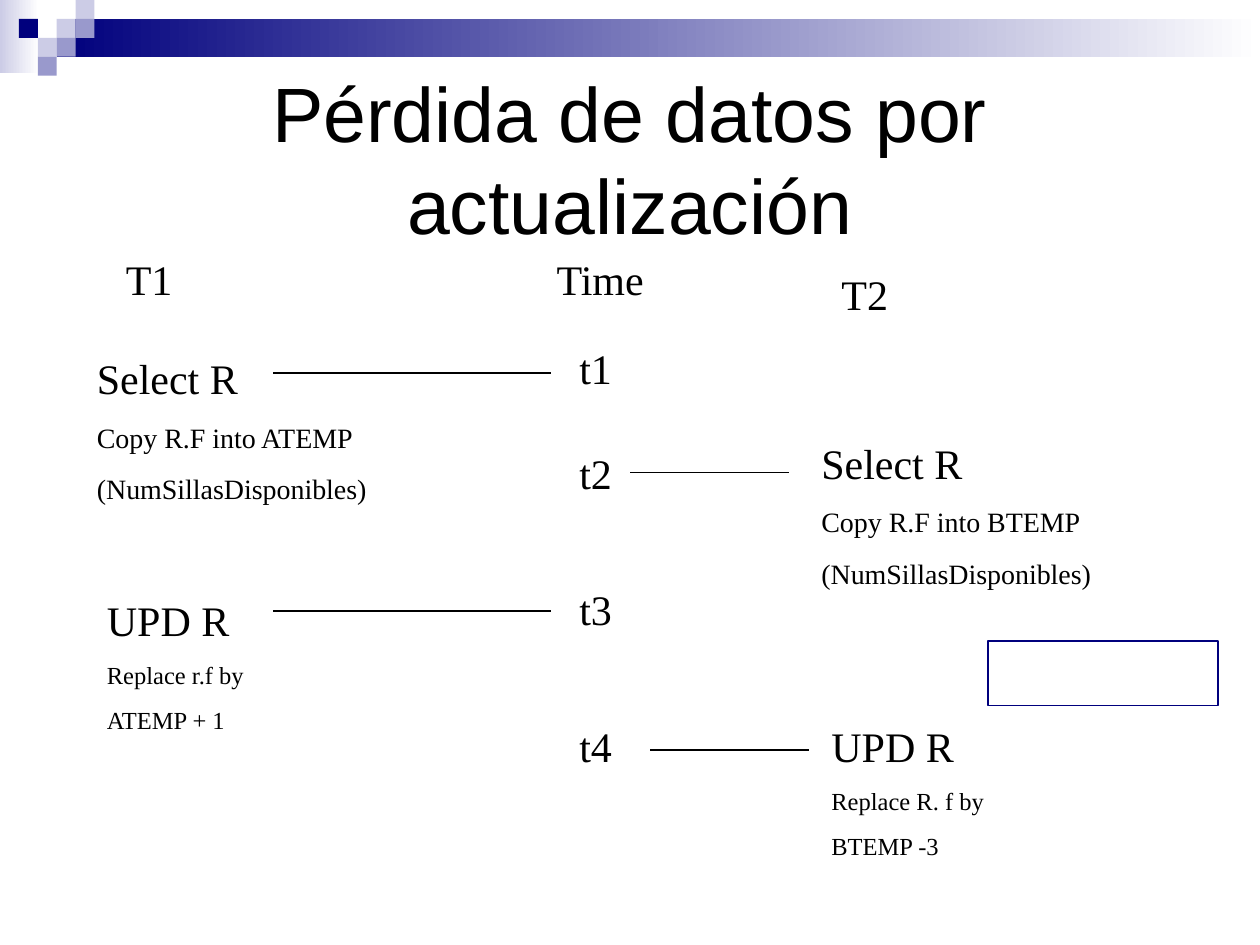
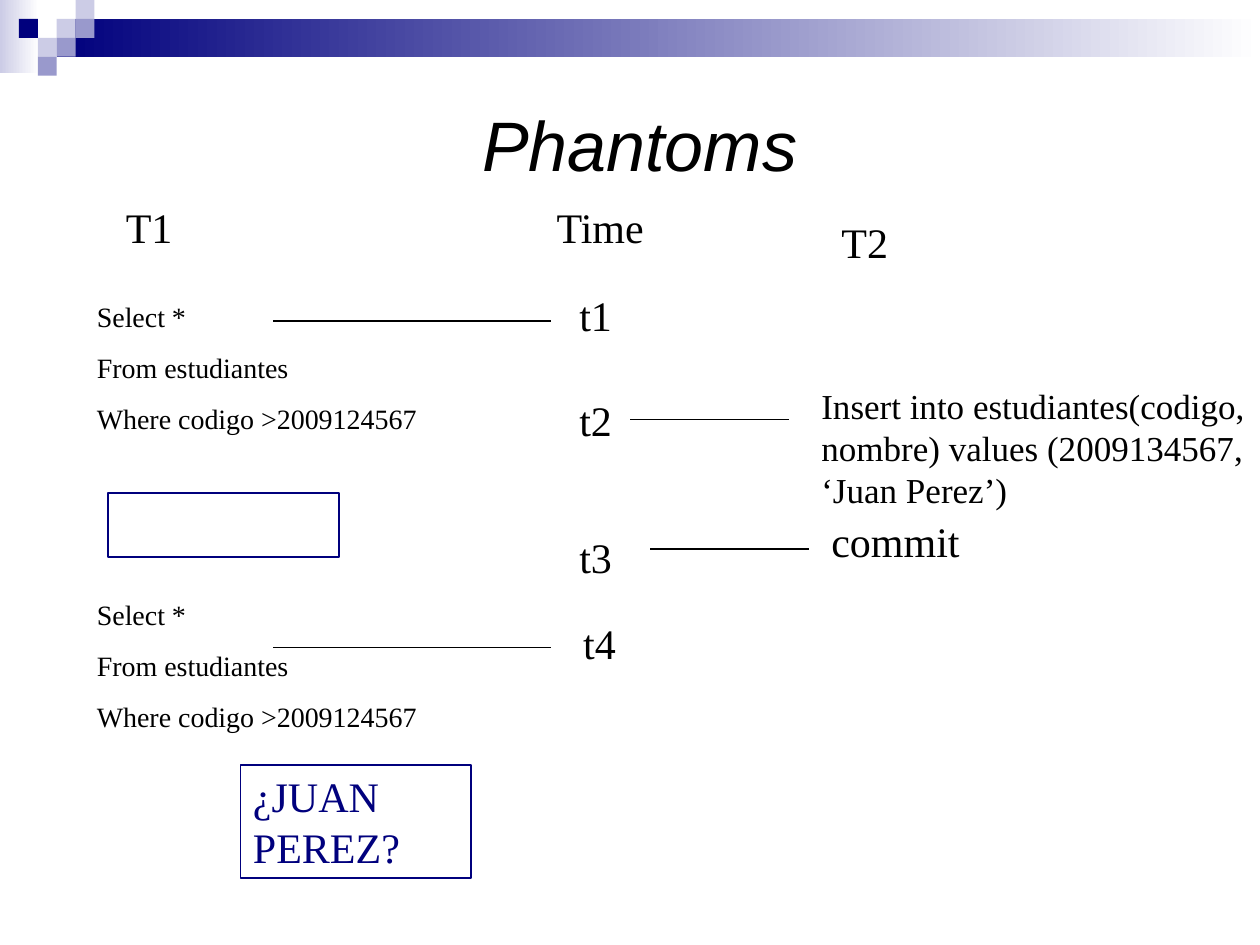
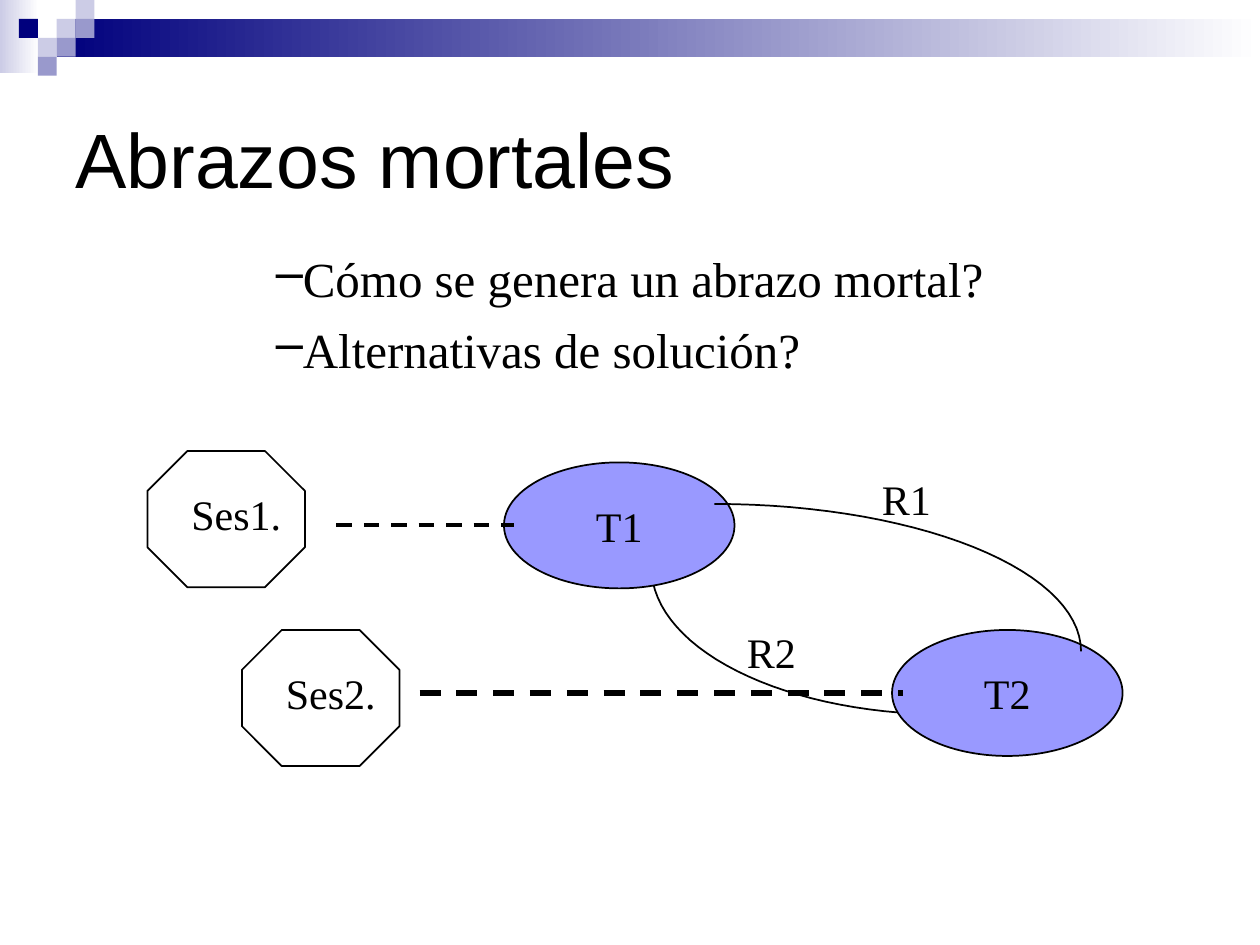
from dataclasses import dataclass
from math import cos, radians, sin

from lxml import etree
from pptx import Presentation
from pptx.dml.color import RGBColor as Color
from pptx.enum.dml import MSO_LINE_DASH_STYLE as Dash
from pptx.enum.shapes import MSO_CONNECTOR as Connector, MSO_SHAPE as Shape
from pptx.enum.text import MSO_ANCHOR as Anchor, PP_ALIGN as Align
from pptx.oxml.ns import qn
from pptx.util import Inches, Pt


@dataclass(frozen=True)
class Theme:
    ink: Color = Color(0, 0, 0)
    paper: Color = Color(0xFF, 0xFF, 0xFF)
    navy: Color = Color(0x00, 0x00, 0x7D)
    mid: Color = Color(0x99, 0x99, 0xCC)
    pale: Color = Color(0xCC, 0xCC, 0xE6)
    lilac: Color = Color(0x99, 0x99, 0xFF)
    title_font: str = "Arial"
    body_font: str = "Times New Roman"
    title_size: int = 44
    short_title_size: int = 40
    bullet_size: int = 28
    body_size: int = 24
    statement_size: int = 20
    detail_size: int = 16
    small_size: int = 14


@dataclass(frozen=True)
class Step:
    """One moment of a timeline; tops are measured from the timeline's top."""
    moment: str
    moment_top: float
    link_left: float
    link_top: float
    link_width: float
    note_box: tuple
    lines: list
    moment_left: float = 4.5


THEME = Theme()
TILE = 0.15
LABEL_HEIGHT = 0.5
LEFT_LINK, RIGHT_LINK = 2.2, 1.26
FRAME_SIZE = (1.83, 0.51)


def write(shape, lines, wrap=True, align=Align.LEFT, anchor=Anchor.TOP,
          gap=0.625, **format_values):
    """Write (text, size) lines; the space before a line is gap times its size."""
    values = {"name": THEME.body_font, **format_values}
    color = values.pop("color", THEME.ink)
    frame = shape.text_frame
    frame.word_wrap = wrap
    frame.vertical_anchor = anchor
    for index, (text, size) in enumerate(lines):
        para = frame.paragraphs[0] if index == 0 else frame.add_paragraph()
        para.alignment = align
        para.space_before = Pt(round(size * gap, 1) if index else 0)
        span = para.add_run()
        span.text = text
        for name, value in {**values, "size": Pt(size)}.items():
            setattr(span.font, name, value)
        span.font.color.rgb = color


def add_text(page, box, lines, **options):
    shape = page.shapes.add_textbox(*map(Inches, box))
    write(shape, lines, **options)
    return shape


def add_label(page, left, top, text, width):
    add_text(page, (left, top, width, LABEL_HEIGHT),
             [(text, THEME.body_size)], wrap=False)


def add_figure(page, kind, box, fill=None, line=None):
    figure = page.shapes.add_shape(kind, *map(Inches, box))
    figure.shadow.inherit = False
    paint(figure, fill, line)
    return figure


def paint(figure, fill=None, line=None):
    if fill is None:
        figure.fill.background()
    else:
        figure.fill.solid()
        figure.fill.fore_color.rgb = fill
    if line is None:
        figure.line.fill.background()
    else:
        figure.line.color.rgb = line
        figure.line.width = Pt(1)


def add_line(page, left, top, width, weight=1, dash=None):
    line = page.shapes.add_connector(
        Connector.STRAIGHT, *map(Inches, (left, top, left + width, top)))
    line.line.color.rgb = THEME.ink
    line.line.width = Pt(weight)
    if dash is not None:
        line.line.dash_style = dash
    etree.SubElement(line._element.spPr, qn("a:effectLst"))


def add_fade(page, box, color):
    fade = add_figure(page, Shape.RECTANGLE, box)
    fade.fill.gradient()
    fade.fill.gradient_angle = 0
    for stop, stop_color in zip(fade.fill.gradient_stops, (color, THEME.paper)):
        stop.color.rgb = stop_color


def add_banner(page):
    add_fade(page, (0, 0, 0.31, 0.58), THEME.pale)
    add_fade(page, (3 * TILE, TILE, 10 - 3 * TILE, 2 * TILE), THEME.navy)
    tiles = {THEME.pale: [(3, 1), (4, 0), (2, 2)],
             THEME.mid: [(4, 1), (3, 2), (2, 3)],
             THEME.navy: [(1, 1)]}
    for color, cells in tiles.items():
        for column, row in cells:
            add_figure(page, Shape.RECTANGLE,
                       (column * TILE, row * TILE, TILE, TILE), color)


def add_page(deck, title, box=(0.5, 0.5, 9, 1.5), size=THEME.title_size,
             align=Align.CENTER, **format_values):
    page = deck.slides.add_slide(deck.slide_layouts[6])
    add_banner(page)
    add_text(page, box, [(title, size)], align=align, anchor=Anchor.MIDDLE,
             name=THEME.title_font, **format_values)
    return page


def add_timeline(page, top, steps):
    for text, left, drop, width in (("T1", 0.9, 0, 0.57), ("Time", 4.32, 0, 0.9),
                                    ("T2", 6.58, 0.12, 0.6)):
        add_label(page, left, top + drop, text, width)
    for step in steps:
        add_label(page, step.moment_left, top + step.moment_top, step.moment, 0.46)
        add_line(page, step.link_left, top + step.link_top, step.link_width)
        left, drop, width, height = step.note_box
        add_text(page, (left, top + drop, width, height), step.lines)


def add_frame(page, left, top, size=FRAME_SIZE):
    return add_figure(page, Shape.RECTANGLE, (left, top, *size), line=THEME.navy)


def select_lines(target):
    return [("Select R", THEME.body_size),
            (f"Copy R.F into {target}", THEME.detail_size),
            ("(NumSillasDisponibles)", THEME.detail_size)]


def update_lines(field, value):
    return [("UPD R", THEME.body_size),
            (f"Replace {field} by", THEME.small_size),
            (value, THEME.small_size)]


def build_lost_update(deck):
    page = add_page(deck, "Pérdida de datos por actualización")
    add_timeline(page, 1.96, [
        Step("t1", 0.71, 2.17, 1.0, LEFT_LINK, (0.67, 0.79, 2.42, 1.31),
             select_lines("ATEMP")),
        Step("t2", 1.54, 5, 1.79, RIGHT_LINK, (6.42, 1.46, 2.42, 1.31),
             select_lines("BTEMP")),
        Step("t3", 2.62, 2.17, 2.89, LEFT_LINK, (0.75, 2.71, 2.42, 1.21),
             update_lines("r.f", "ATEMP + 1")),
        Step("t4", 3.71, 5.16, 3.99, RIGHT_LINK, (6.5, 3.71, 1.67, 1.21),
             update_lines("R. f", "BTEMP -3")),
    ])
    add_frame(page, 7.84, 5.09)


def build_phantoms(deck):
    page = add_page(deck, "Phantoms", (-0.2, 0.5, 10.55, 1.28),
                    THEME.short_title_size, italic=True)
    query = [(text, THEME.detail_size) for text in
             ("Select *", "From estudiantes", "Where codigo >2009124567")]
    insert = ("Insert into estudiantes(codigo, nombre) values "
              "(2009134567, ‘Juan Perez’)")
    add_timeline(page, 1.55, [
        Step("t1", 0.7, 2.17, 1.0, LEFT_LINK, (0.67, 0.78, 2.85, 1.18), query),
        Step("t2", 1.53, 5, 1.78, RIGHT_LINK, (6.42, 1.45, 3.58, 1.1),
             [(insert, THEME.statement_size)]),
        Step("t3", 2.62, 5.16, 2.81, RIGHT_LINK, (6.5, 2.49, 1.67, 0.5),
             [("commit", THEME.body_size)]),
        Step("t4", 3.3, 2.17, 3.59, LEFT_LINK, (0.67, 3.14, 2.85, 1.18), query,
             moment_left=4.53),
    ])
    add_frame(page, 0.86, 3.91)
    question = add_frame(page, 1.91, 6.07, (FRAME_SIZE[0], 0.9))
    write(question, [("¿JUAN PEREZ?", THEME.body_size)], color=THEME.navy)


def add_questions(page, box, questions):
    shape = add_text(page, box, [(text, THEME.bullet_size) for text in questions],
                     gap=0.25)
    for para in shape.text_frame.paragraphs:
        properties = para._p.get_or_add_pPr()
        properties.set("marL", "0")
        properties.set("indent", "0")
        etree.SubElement(properties, qn("a:buChar"), char="–")


def add_session(page, left, top, name):
    octagon = add_figure(page, Shape.OCTAGON, (left, top, 1.25, 1.08),
                         line=THEME.ink)
    octagon.adjustments[0] = 0.293
    add_label(page, left + 0.25, top + 0.25, name, 0.91)


def add_transaction(page, left, top, name):
    ellipse = add_figure(page, Shape.OVAL, (left, top, 1.83, 1),
                         THEME.lilac, THEME.ink)
    write(ellipse, [(name, THEME.body_size)], wrap=False,
          align=Align.CENTER, anchor=Anchor.MIDDLE)


def add_quarter_arc(page, center, radii, start, steps=30):
    """Draw a quarter of an ellipse clockwise from the start angle in degrees."""
    angles = [radians(start + 90 * step / steps) for step in range(steps + 1)]
    points = [(Inches(center[0] + radii[0] * cos(angle)),
               Inches(center[1] + radii[1] * sin(angle))) for angle in angles]
    builder = page.shapes.build_freeform(*points[0])
    builder.add_line_segments(points[1:], close=False)
    arc = builder.convert_to_shape()
    arc.shadow.inherit = False
    paint(arc, line=THEME.ink)


def build_deadlocks(deck):
    page = add_page(deck, "Abrazos mortales", align=Align.LEFT)
    add_quarter_arc(page, (7.5, 4.5), (2.33, 1.17), 90)
    add_transaction(page, 4, 3.67, "T1")
    add_transaction(page, 7.08, 5, "T2")
    add_line(page, 2.67, 4.17, 1.41, 2.25, Dash.DASH)
    add_line(page, 3.33, 5.5, 3.84, 3, Dash.DASH)
    add_quarter_arc(page, (5.67, 5.17), (2.91, 1.17), 270)
    add_questions(page, (2.09, 1.92, 6.29, 1.6),
                  ["Cómo se genera un abrazo mortal?", "Alternativas de solución?"])
    add_session(page, 1.17, 3.58, "Ses1.")
    add_session(page, 1.92, 5, "Ses2.")
    add_label(page, 6.9, 3.71, "R1", 0.59)
    add_label(page, 5.83, 4.92, "R2", 0.59)


def main():
    deck = Presentation()
    deck.slide_width, deck.slide_height = Inches(10), Inches(7.5)
    for build in (build_lost_update, build_phantoms, build_deadlocks):
        build(deck)
    deck.save("out.pptx")


if __name__ == "__main__":
    main()
